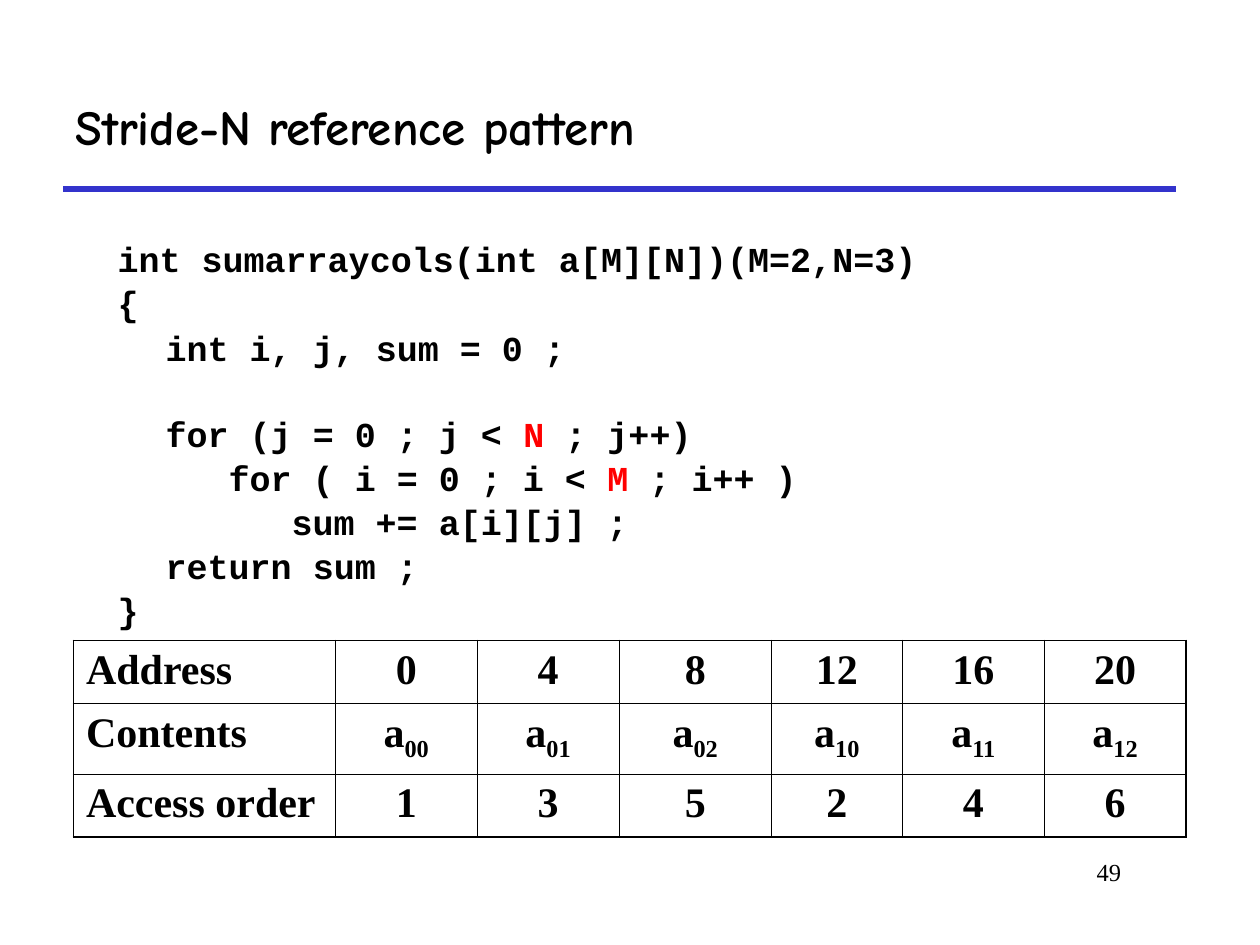
from dataclasses import dataclass

from lxml import etree
from pptx import Presentation
from pptx import util as u
from pptx.dml.color import RGBColor
from pptx.enum import shapes, text
from pptx.oxml.ns import qn


@dataclass(frozen=True)
class Theme:
    ink: str = "000000"
    accent: str = "FF0000"
    rule: str = "3333CC"
    title_font: str = "Comic Neue"
    code_font: str = "Courier New"
    body_font: str = "Times New Roman"
    title_size: int = 28
    code_size: int = 20
    table_size: int = 24
    page_size: int = 14
    outer_border: float = 1.08
    inner_border: float = 0.45


class SlideBuilder:
    def __init__(self, slide, theme):
        self.s, self.theme = slide, theme

    def style(self, r, font, size, bold=True, color=None):
        r.font.name, r.font.size, r.font.bold = font, u.Pt(size), bold
        r.font.color.rgb = RGBColor.from_string(color or self.theme.ink)

    def box(self, x, y, w, h):
        sp = self.s.shapes.add_textbox(u.Cm(x), u.Cm(y), u.Cm(w), u.Cm(h))
        sp.text_frame.word_wrap = True
        return sp.text_frame

    def label(self, words, x, y, w, h, font, size, bold=True,
              align=text.PP_ALIGN.LEFT, anchor=text.MSO_ANCHOR.TOP):
        tf = self.box(x, y, w, h)
        tf.text = words
        tf.vertical_anchor = anchor
        p = tf.paragraphs[0]
        p.alignment = align
        self.style(p.runs[0], font, size, bold)

    def rule(self, x1, x2, y, width):
        line = self.s.shapes.add_connector(
            shapes.MSO_CONNECTOR.STRAIGHT, u.Cm(x1), u.Cm(y), u.Cm(x2), u.Cm(y))
        line.line.color.rgb = RGBColor.from_string(self.theme.rule)
        line.line.width = u.Pt(width)
        etree.SubElement(line._element.spPr, qn("a:effectLst"))

    def code(self, lines, x, y, w, h, gap=6):
        """Text between bars is highlighted; an empty line widens the next gap."""
        tf = self.box(x, y, w, h)
        tf.margin_top = u.Cm(0.34)
        line_height = 0.8 * 1.13 * self.theme.code_size
        p, before = tf.paragraphs[0], 0
        for i, line in enumerate(lines):
            if not line:
                before += line_height + gap
                continue
            if i:
                p = tf.add_paragraph()
                p.line_spacing = 0.8
                p.space_before = u.Pt(before)
            self.hang(p, u.Cm(0.97))
            for k, part in enumerate(line.split("|")):
                r = p.add_run()
                r.text = part
                color = self.theme.accent if k % 2 else self.theme.ink
                self.style(r, self.theme.code_font, self.theme.code_size, color=color)
            before = gap

    def hang(self, p, indent, stops=8):
        pPr = p._p.get_or_add_pPr()
        pPr.set("marL", str(indent))
        pPr.set("indent", str(-indent))
        tabs = etree.SubElement(pPr, qn("a:tabLst"))
        for n in range(stops):
            etree.SubElement(tabs, qn("a:tab"), pos=str(u.Cm(2.54 * n)), algn="l")

    def table(self, rows, x, y, widths, heights):
        """An underscore in a cell starts a subscript."""
        frame = self.s.shapes.add_table(
            len(rows), len(widths), u.Cm(x), u.Cm(y),
            u.Cm(sum(widths)), u.Cm(sum(heights)))
        tbl = frame.table
        tbl.first_row = tbl.horz_banding = False
        for col, width in zip(tbl.columns, widths):
            col.width = u.Cm(width)
        for i, (row, height) in enumerate(zip(rows, heights)):
            tbl.rows[i].height = u.Cm(height)
            for j, value in enumerate(row):
                cell = tbl.cell(i, j)
                cell.fill.background()
                self.borders(cell, L=j == 0, R=j == len(widths) - 1,
                             T=i == 0, B=i == len(rows) - 1)
                p = cell.text_frame.paragraphs[0]
                p.alignment = text.PP_ALIGN.CENTER if j else text.PP_ALIGN.LEFT
                for k, part in enumerate(value.split("_")):
                    r = p.add_run()
                    r.text = part
                    self.style(r, self.theme.body_font, self.theme.table_size)
                    if k:
                        r._r.get_or_add_rPr().set("baseline", "-25000")

    def borders(self, cell, **outer_sides):
        tcPr = cell._tc.get_or_add_tcPr()
        for pos, (side, outer) in enumerate(outer_sides.items()):
            width = self.theme.outer_border if outer else self.theme.inner_border
            ln = etree.Element(qn("a:ln" + side), w=str(u.Pt(width)))
            fill = etree.SubElement(ln, qn("a:solidFill"))
            etree.SubElement(fill, qn("a:srgbClr"), val=self.theme.ink)
            tcPr.insert(pos, ln)


CODE = [
    "int sumarraycols(int a[M][N])(M=2,N=3)",
    "{",
    "\tint i, j, sum = 0 ;",
    "",
    "\tfor (j = 0 ; j < |N| ; j++)",
    "\t\tfor ( i = 0 ; i < |M| ; i++ )",
    "\t\t\tsum += a[i][j] ;",
    "\treturn sum ;",
    "}",
]
ACCESSES = [
    ["Address", "0", "4", "8", "12", "16", "20"],
    ["Contents", "a_00", "a_01", "a_02", "a_10", "a_11", "a_12"],
    ["Access order", "1", "3", "5", "2", "4", "6"],
]


def main():
    prs = Presentation()
    prs.slide_width, prs.slide_height = u.Cm(25.4), u.Cm(19.05)
    theme = Theme()
    b = SlideBuilder(prs.slides.add_slide(prs.slide_layouts[6]), theme)

    # Heading with its rule, and page number
    b.rule(1.27, 23.7, 3.81, width=3)
    b.label("49", 19.25, 17.15, 3.6, 1.27, theme.body_font, theme.page_size,
            bold=False, align=text.PP_ALIGN.RIGHT)
    b.label("Stride-N reference pattern", 1.27, 1.27, 22.43, 2.54,
            theme.title_font, theme.title_size, anchor=text.MSO_ANCHOR.MIDDLE)

    # Column-wise sum
    b.code(CODE, 2.12, 4.45, 22.01, 8.04)

    # Memory access order
    b.table(ACCESSES, 1.48, 12.91,
            widths=[5.28, 2.86, 2.86, 3.07, 2.64, 2.86, 2.86],
            heights=[1.27, 1.42, 1.27])

    prs.save("out.pptx")


if __name__ == "__main__":
    main()
